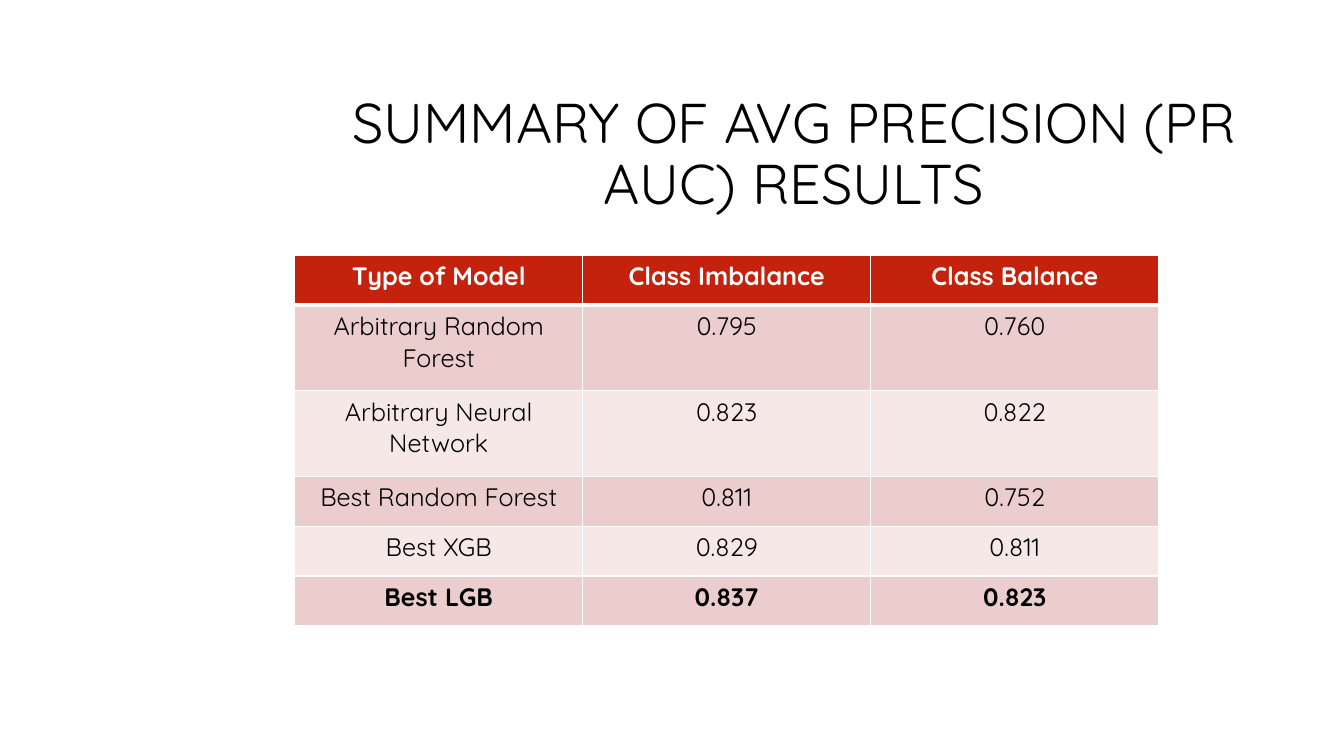
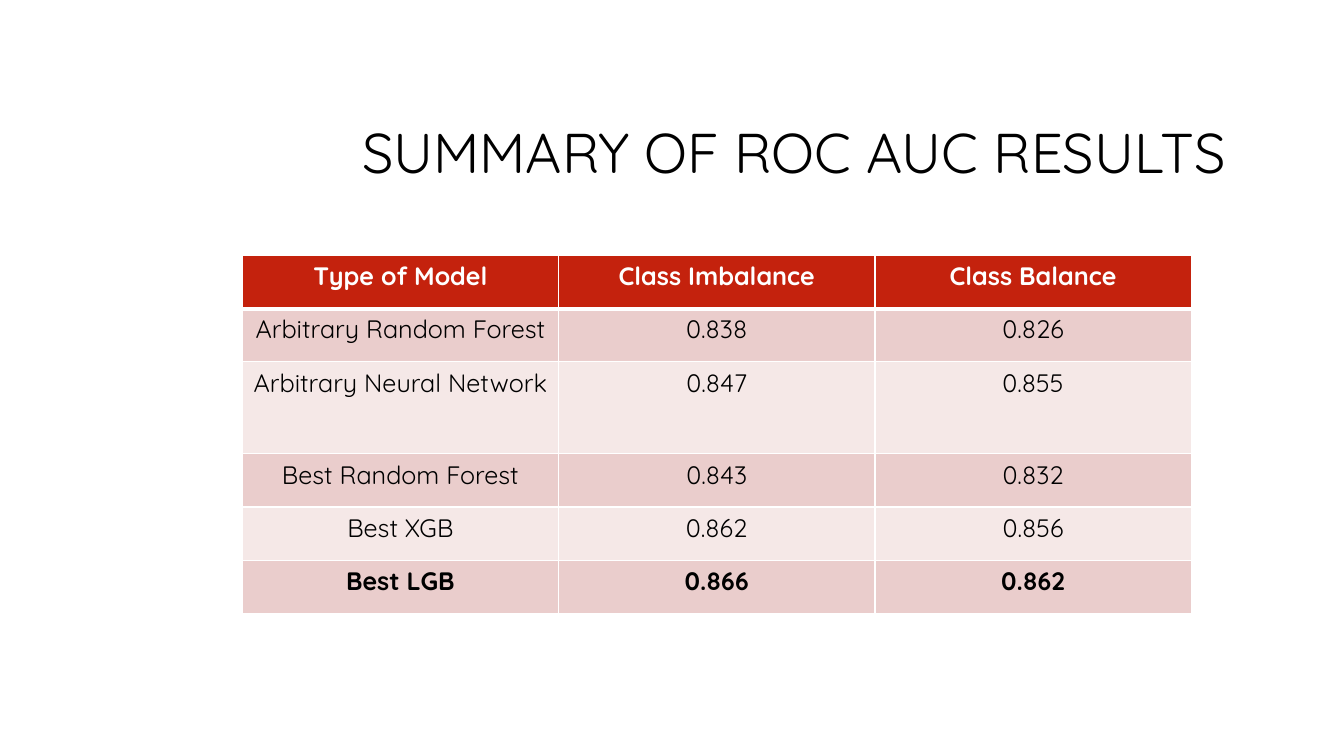
import pptx
import pptx.dml.color
import pptx.enum.text
import pptx.oxml
import pptx.oxml.ns
import pptx.util

Pt = pptx.util.Pt
CENTER = pptx.enum.text.PP_ALIGN.CENTER

FONT = "Quicksand"
COLORS = {
    "text": "000000",
    "header": "C4220D",
    "header_text": "FFFFFF",
    "band_dark": "EACDCC",
    "band_light": "F5E8E7",
    "border": "FFFFFF",
}
TITLE_BOX = (228.25, 60.5, 678, 101.5)
TABLE_TOP = 182.5
HEADER = ("Type of Model", "Class Imbalance", "Class Balance")

RESULTS = [
    {
        "title": "SUMMARY OF AVG PRECISION (PR AUC) RESULTS",
        "left": 210.5,
        "column_width": 205.75,
        "row_heights": (35.5, 61.25, 61.25, 35.5, 35.5, 35.5),
        "rows": [
            ("Arbitrary Random Forest", "0.795", "0.760"),
            ("Arbitrary Neural Network", "0.823", "0.822"),
            ("Best Random Forest", "0.811", "0.752"),
            ("Best XGB", "0.829", "0.811"),
            ("Best LGB", "0.837", "0.823"),
        ],
    },
    {
        "title": "SUMMARY OF ROC AUC RESULTS",
        "left": 173,
        "column_width": 226,
        "row_heights": (38, 38, 65.75, 38, 38, 38),
        "rows": [
            ("Arbitrary Random Forest", "0.838", "0.826"),
            ("Arbitrary Neural Network", "0.847", "0.855"),
            ("Best Random Forest", "0.843", "0.832"),
            ("Best XGB", "0.862", "0.856"),
            ("Best LGB", "0.866", "0.862"),
        ],
    },
]


def color(name):
    return pptx.dml.color.RGBColor.from_string(COLORS[name])


def write_text(paragraph, text, size, color_name, bold=False):
    paragraph.text = text
    paragraph.alignment = CENTER
    paragraph.font.name = FONT
    paragraph.font.size = Pt(size)
    paragraph.font.bold = bold
    paragraph.font.color.rgb = color(color_name)


def add_title(slide, text):
    frame = slide.shapes.add_textbox(*map(Pt, TITLE_BOX)).text_frame
    frame.word_wrap = True
    frame.vertical_anchor = pptx.enum.text.MSO_ANCHOR.MIDDLE
    write_text(frame.paragraphs[0], text, 40, "text")
    frame.paragraphs[0].line_spacing = 0.9


def set_borders(cell, widths):
    """Draw the left, right, top and bottom borders with widths in points."""
    properties = cell._tc.get_or_add_tcPr()
    for index, (side, width) in enumerate(zip("LRTB", widths)):
        properties.insert(index, pptx.oxml.parse_xml(
            f'<a:ln{side} {pptx.oxml.ns.nsdecls("a")} w="{Pt(width)}"><a:solidFill>'
            f'<a:srgbClr val="{COLORS["border"]}"/></a:solidFill></a:ln{side}>'))


def add_results_table(slide, result):
    rows = [HEADER] + result["rows"]
    heights = result["row_heights"]
    width = result["column_width"]
    table = slide.shapes.add_table(
        len(rows), len(HEADER), Pt(result["left"]), Pt(TABLE_TOP),
        Pt(width * len(HEADER)), Pt(sum(heights))).table
    for column in table.columns:
        column.width = Pt(width)
    for row_index, values in enumerate(rows):
        table.rows[row_index].height = Pt(heights[row_index])
        is_header = row_index == 0
        is_best = row_index == len(rows) - 1
        band = "band_dark" if row_index % 2 else "band_light"
        for column_index, value in enumerate(values):
            cell = table.cell(row_index, column_index)
            cell.fill.solid()
            cell.fill.fore_color.rgb = color("header" if is_header else band)
            set_borders(cell, (1, 1, 3 if row_index == 1 else 1, 3 if is_header else 1))
            write_text(cell.text_frame.paragraphs[0], value, 18,
                       "header_text" if is_header else "text", is_header or is_best)


def main():
    presentation = pptx.Presentation()
    presentation.slide_width = Pt(960)
    presentation.slide_height = Pt(540)
    for result in RESULTS:
        slide = presentation.slides.add_slide(presentation.slide_layouts[6])
        add_title(slide, result["title"])
        add_results_table(slide, result)
    presentation.save("out.pptx")


if __name__ == "__main__":
    main()
